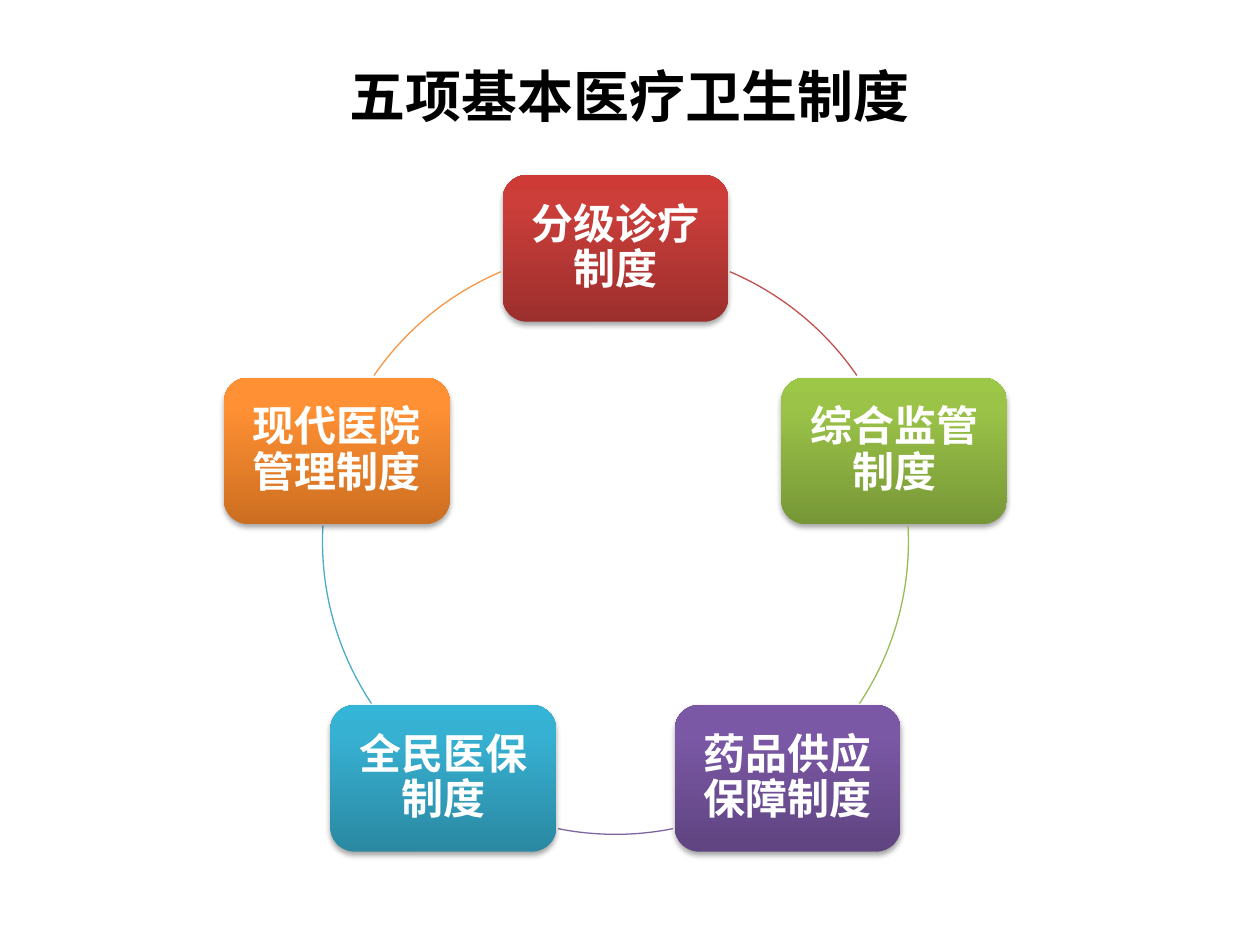
import copy
import math

from lxml import etree
from pptx import Presentation
from pptx import util as u
from pptx.dml.color import RGBColor
from pptx.enum import shapes, text
from pptx.oxml import ns

COLORS = {
    "title": "000000",
    "label": "FFFFFF",
    "shadow": "000000",
    "red": "C0504D",
    "green": "9BBB59",
    "purple": "8064A2",
    "blue": "4BACC6",
    "orange": "F79646",
}
GRADIENTS = {  # from the bottom edge to the top edge
    "red": ("9C2F2D", "CB3E3A", "CE3B37"),
    "green": ("779737", "9BC348", "9DC746"),
    "purple": ("5F4480", "7B58A6", "7C57A8"),
    "blue": ("2A88A2", "37B1D2", "34B4D6"),
    "orange": ("CC6E20", "FF9034", "FF9136"),
}
GRADIENT_POSITIONS = (0, 0.8, 1)

# Clockwise from the top: label, hue, and the arc to the next system in
# degrees clockwise from three o'clock.
SYSTEMS = [
    ("分级诊疗制度", "red", 293, 325.5),
    ("综合监管制度", "green", 356.9, 33.6),
    ("药品供应保障制度", "purple", 78.7, 101.3),
    ("全民医保制度", "blue", 146.4, 183.1),
    ("现代医院管理制度", "orange", 214.5, 247),
]
RING_X, RING_Y, RADIUS = 351.7, 309.4, 167.4
BOX_W, BOX_H = 129, 83.8


class SlideBuilder:
    font = "Calibri"

    def __init__(self, slide):
        self.slide = slide

    def set_wording(self, frame, wording, size, color):
        frame.word_wrap = True
        frame.text = wording
        paragraph = frame.paragraphs[0]
        paragraph.alignment = text.PP_ALIGN.CENTER
        font = paragraph.runs[0].font
        font.name, font.size, font.bold = self.font, u.Pt(size), True
        font.color.rgb = RGBColor.from_string(COLORS[color])
        return paragraph

    def title(self, wording, left, top, width, height):
        box = self.slide.shapes.add_textbox(*map(u.Pt, (left, top, width, height)))
        self.set_wording(box.text_frame, wording, 32, "title")

    def preset(self, kind, center_x, center_y, width, height):
        return self.slide.shapes.add_shape(
            kind, u.Pt(center_x - width / 2), u.Pt(center_y - height / 2),
            u.Pt(width), u.Pt(height))

    def box(self, wording, hue, center_x, center_y):
        box = self.preset(shapes.MSO_SHAPE.ROUNDED_RECTANGLE,
                          center_x, center_y, BOX_W, BOX_H)
        box.line.fill.background()
        self.gradient(box, GRADIENTS[hue])
        self.soft_shadow(box)
        frame = box.text_frame
        frame.margin_left = frame.margin_right = u.Pt(7.2)
        frame.margin_top = frame.margin_bottom = u.Pt(7.2)
        frame.vertical_anchor = text.MSO_ANCHOR.MIDDLE
        paragraph = self.set_wording(frame, wording, 24, "label")
        paragraph.line_spacing = 0.9
        paragraph.space_after = u.Pt(8.4)

    def gradient(self, shape, hexes):
        shape.fill.gradient()
        shape.fill.gradient_angle = 90
        stop_list = shape.element.spPr.find(".//" + ns.qn("a:gsLst"))
        stop_list.append(copy.deepcopy(stop_list[-1]))
        for stop, position, color in zip(
                shape.fill.gradient_stops, GRADIENT_POSITIONS, hexes):
            stop.position = position
            stop.color.rgb = RGBColor.from_string(color)

    def soft_shadow(self, shape):
        """Replace the theme shadow by a faint one straight below."""
        shape.shadow.inherit = False
        effects = shape.element.spPr.find(ns.qn("a:effectLst"))
        shadow = etree.SubElement(
            effects, ns.qn("a:outerShdw"), blurRad=str(u.Pt(3.15)),
            dist=str(u.Pt(1.8)), dir="5400000", rotWithShape="0")
        color = etree.SubElement(shadow, ns.qn("a:srgbClr"), val=COLORS["shadow"])
        etree.SubElement(color, ns.qn("a:alpha"), val="35000")

    def arc(self, hue, start, end):
        arc = self.preset(shapes.MSO_SHAPE.ARC, RING_X, RING_Y,
                          2 * RADIUS, 2 * RADIUS)
        # An adjustment of 1 is 100000 units; a degree is 60000 units.
        arc.adjustments[0], arc.adjustments[1] = start * 0.6, end * 0.6
        arc.fill.background()
        arc.line.color.rgb = RGBColor.from_string(COLORS[hue])
        arc.line.width = u.Pt(0.75)
        arc.shadow.inherit = False


def main():
    deck = Presentation()
    deck.slide_width, deck.slide_height = u.Pt(720), u.Pt(540)
    builder = SlideBuilder(deck.slides.add_slide(deck.slide_layouts[6]))

    for index, (label, hue, start, end) in enumerate(SYSTEMS):
        angle = math.tau * index / len(SYSTEMS)
        builder.box(label, hue, RING_X + RADIUS * math.sin(angle),
                    RING_Y - RADIUS * math.cos(angle))
        builder.arc(hue, start, end)
    builder.title("五项基本医疗卫生制度", 133.2, 31.7, 453.6, 46)

    deck.save("out.pptx")


if __name__ == "__main__":
    main()
